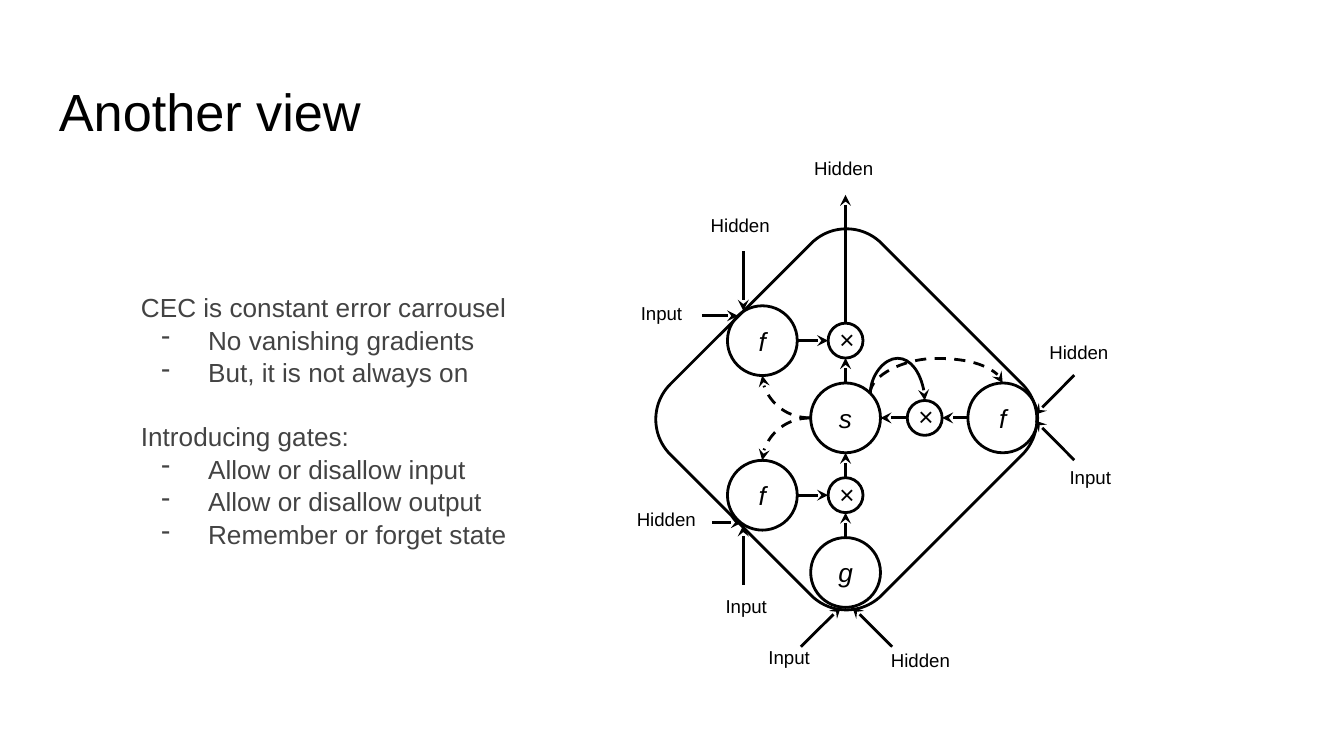
from math import hypot, sqrt
from typing import NamedTuple

from lxml import etree
from pptx import Presentation
from pptx.dml.color import RGBColor
from pptx.enum import dml, shapes, text
from pptx.oxml.ns import qn
from pptx.util import Pt

BLACK = RGBColor(0x00, 0x00, 0x00)
GRAY = RGBColor(0x43, 0x43, 0x43)
FONT = "Arial"
LINE_WIDTH = 1.5
GATE_RADIUS = 18.7
PRODUCT_RADIUS = 9.35
CELL_X, CELL_Y, ROW_GAP = 453, 223.9, 41.4
LEFT_GATE_X = 408.4
ARCH_RISE = 18.7


class Point(NamedTuple):
    x: float
    y: float


class Node(NamedTuple):
    symbol: str
    x: float
    y: float
    radius: float = GATE_RADIUS

    def toward(self, other: "Node") -> Point:
        """Point of this circle's edge that faces another node."""
        dx, dy = other.x - self.x, other.y - self.y
        scale = self.radius / hypot(dx, dy)
        return Point(self.x + dx * scale, self.y + dy * scale)


class Label(NamedTuple):
    text: str
    left: float
    top: float


class Line(NamedTuple):
    text: str
    bulleted: bool = False
    space_before: float = 0


STATE = Node("s", CELL_X, CELL_Y)
INPUT = Node("g", CELL_X, CELL_Y + 2 * ROW_GAP)
OUTPUT_GATE = Node("f", LEFT_GATE_X, CELL_Y - ROW_GAP)
INPUT_GATE = Node("f", LEFT_GATE_X, CELL_Y + ROW_GAP)
FORGET_GATE = Node("f", 537.2, CELL_Y)
OUTPUT_PRODUCT = Node("×", CELL_X, CELL_Y - ROW_GAP, PRODUCT_RADIUS)
INPUT_PRODUCT = Node("×", CELL_X, CELL_Y + ROW_GAP, PRODUCT_RADIUS)
FORGET_PRODUCT = Node("×", 495.4, CELL_Y, PRODUCT_RADIUS)
NODES = [STATE, INPUT, OUTPUT_GATE, INPUT_GATE, FORGET_GATE,
         OUTPUT_PRODUCT, INPUT_PRODUCT, FORGET_PRODUCT]

LINKS = [
    (OUTPUT_GATE, OUTPUT_PRODUCT), (INPUT_GATE, INPUT_PRODUCT),
    (FORGET_GATE, FORGET_PRODUCT), (INPUT, INPUT_PRODUCT),
    (INPUT_PRODUCT, STATE), (STATE, OUTPUT_PRODUCT), (FORGET_PRODUCT, STATE),
]
OUTER_ARROWS = [
    (Point(CELL_X, OUTPUT_PRODUCT.y - PRODUCT_RADIUS), Point(CELL_X, 104.4)),
    (Point(478, 346.5), Point(456.6, 325.2)),
    (Point(429, 346.5), Point(450.5, 325.2)),
    (Point(575.5, 201), Point(554.5, 222.2)),
    (Point(575.5, 246.5), Point(554.5, 225.3)),
    (Point(376, 169.2), Point(395.4, 169.2)),
    (Point(398.2, 134.6), Point(398.2, 166.5)),
    (Point(381.6, 280), Point(397.4, 280)),
    (Point(398.2, 313.2), Point(398.2, 281.5)),
]
LABEL_WIDTHS = {"Hidden": 50.4, "Input": 39.6}
LABELS = [
    Label("Hidden", 429.1, 80.6), Label("Input", 404.6, 342.7),
    Label("Hidden", 373.7, 110.9), Label("Hidden", 555.1, 179.3),
    Label("Hidden", 334.1, 268.6), Label("Input", 565.9, 246.2),
    Label("Input", 336.2, 158.4), Label("Input", 381.6, 315.4),
    Label("Hidden", 470.2, 344.2),
]
BODY = [
    Line("CEC is constant error carrousel"),
    Line("No vanishing gradients", True),
    Line("But, it is not always on", True),
    Line("Introducing gates:", space_before=16.75),
    Line("Allow or disallow input", True),
    Line("Allow or disallow output", True),
    Line("Remember or forget state", True),
]


def set_font(paragraph, size: float, color: RGBColor = BLACK, italic: bool = False) -> None:
    for run in paragraph.runs:
        run.font.name, run.font.size = FONT, Pt(size)
        run.font.color.rgb = color
        run.font.italic = italic


def set_margins(frame, left: float, top: float, right: float, bottom: float) -> None:
    frame.margin_left, frame.margin_top = Pt(left), Pt(top)
    frame.margin_right, frame.margin_bottom = Pt(right), Pt(bottom)


def add_outline(slide, kind, left: float, top: float, size: float):
    """Square-sized unfilled shape with a black outline."""
    shape = slide.shapes.add_shape(kind, Pt(left), Pt(top), Pt(size), Pt(size))
    shape.shadow.inherit = False
    shape.fill.background()
    shape.line.color.rgb = BLACK
    shape.line.width = Pt(LINE_WIDTH)
    return shape


def add_node(slide, node: Node) -> None:
    shape = add_outline(slide, shapes.MSO_SHAPE.OVAL, node.x - node.radius,
                        node.y - node.radius, 2 * node.radius)
    frame = shape.text_frame
    frame.text = node.symbol
    frame.vertical_anchor = text.MSO_ANCHOR.MIDDLE
    is_gate = node.radius == GATE_RADIUS
    set_margins(frame, *((7.2, 3.6, 7.2, 3.6) if is_gate else (1.44, 0, 0, 1.44)))
    paragraph = frame.paragraphs[0]
    paragraph.alignment = text.PP_ALIGN.CENTER
    set_font(paragraph, 14, italic=is_gate)


def add_arrow(slide, start: Point, end: Point,
              kind=shapes.MSO_CONNECTOR.STRAIGHT, dashed: bool = False):
    connector = slide.shapes.add_connector(kind, Pt(start.x), Pt(start.y), Pt(end.x), Pt(end.y))
    connector.line.color.rgb = BLACK
    connector.line.width = Pt(LINE_WIDTH)
    if dashed:
        connector.line.dash_style = dml.MSO_LINE.DASH
    properties = connector._element.spPr
    etree.SubElement(properties.find(qn("a:ln")), qn("a:tailEnd"), type="stealth")
    etree.SubElement(properties, qn("a:effectLst"))
    return connector


def add_quarter_curve(slide, start: Point, end: Point) -> None:
    """Dashed curve that leaves sideways and arrives vertically."""
    connector = add_arrow(slide, start, end, shapes.MSO_CONNECTOR.CURVE, dashed=True)
    connector._element.spPr.find(qn("a:prstGeom")).set("prst", "curvedConnector2")


def add_arch(slide, start: Point, end: Point, dashed: bool) -> None:
    """Curve that rises from start and drops onto end, as a connector turned by 270 degrees."""
    middle = Point((start.x + end.x) / 2, (start.y + end.y) / 2)
    half_width, half_height = (start.y - end.y) / 2, (end.x - start.x) / 2
    connector = add_arrow(slide, Point(middle.x - half_width, middle.y - half_height),
                          Point(middle.x + half_width, middle.y + half_height),
                          shapes.MSO_CONNECTOR.CURVE, dashed)
    properties = connector._element.spPr
    properties.find(qn("a:xfrm")).set("rot", str(270 * 60000))
    geometry = properties.find(qn("a:prstGeom"))
    for adjustments in geometry.findall(qn("a:avLst")):
        geometry.remove(adjustments)
    bend = round(ARCH_RISE / (2 * half_width) * 100000)
    adjustments = etree.SubElement(geometry, qn("a:avLst"))
    etree.SubElement(adjustments, qn("a:gd"), name="adj1", fmla=f"val {bend}")


def add_text_box(slide, left: float, top: float, width: float, height: float, margin: float):
    box = slide.shapes.add_textbox(Pt(left), Pt(top), Pt(width), Pt(height))
    box.text_frame.word_wrap = True
    set_margins(box.text_frame, 7.2, margin, 7.2, margin)
    return box.text_frame


def add_bullet(paragraph) -> None:
    properties = paragraph._p.get_or_add_pPr()
    properties.set("marL", str(Pt(36)))
    properties.set("indent", str(Pt(-25)))
    color = etree.SubElement(properties, qn("a:buClr"))
    etree.SubElement(color, qn("a:srgbClr"), val=str(GRAY))
    etree.SubElement(properties, qn("a:buChar"), char="-")


def add_body(slide, lines: list[Line]) -> None:
    frame = add_text_box(slide, 68.4, 148.3, 212.4, 149.8, 7.2)
    frame.text = "\n".join(line.text for line in lines)
    for paragraph, line in zip(frame.paragraphs, lines):
        if line.bulleted:
            add_bullet(paragraph)
        paragraph.line_spacing = 1.04
        if line.space_before:
            paragraph.space_before = Pt(line.space_before)
        set_font(paragraph, 14, GRAY)


def main() -> None:
    presentation = Presentation()
    presentation.slide_width, presentation.slide_height = Pt(720), Pt(405)
    slide = presentation.slides.add_slide(presentation.slide_layouts[6])

    title = add_text_box(slide, 24.5, 35.3, 671, 45.4, 7.2)
    title.text = "Another view"
    set_font(title.paragraphs[0], 28)

    cell = add_outline(slide, shapes.MSO_SHAPE.ROUNDED_RECTANGLE, 373.4, 144.7, 160)
    cell.rotation = 45
    for node in NODES:
        add_node(slide, node)
    for source, target in LINKS:
        add_arrow(slide, source.toward(target), target.toward(source))
    for start, end in OUTER_ARROWS:
        add_arrow(slide, start, end)

    diagonal = GATE_RADIUS / sqrt(2)
    arch_start = Point(STATE.x + diagonal, STATE.y - diagonal)
    for node, dashed in ((FORGET_PRODUCT, False), (FORGET_GATE, True)):
        add_arch(slide, arch_start, Point(node.x, node.y - node.radius), dashed)
    state_left = Point(STATE.x - GATE_RADIUS, STATE.y)
    for gate, side in ((OUTPUT_GATE, 1), (INPUT_GATE, -1)):
        add_quarter_curve(slide, state_left, Point(gate.x, gate.y + side * GATE_RADIUS))

    for label in LABELS:
        frame = add_text_box(slide, label.left, label.top, LABEL_WIDTHS[label.text], 21.6, 3.6)
        frame.text = label.text
        set_font(frame.paragraphs[0], 10)
    add_body(slide, BODY)
    presentation.save("out.pptx")


if __name__ == "__main__":
    main()
